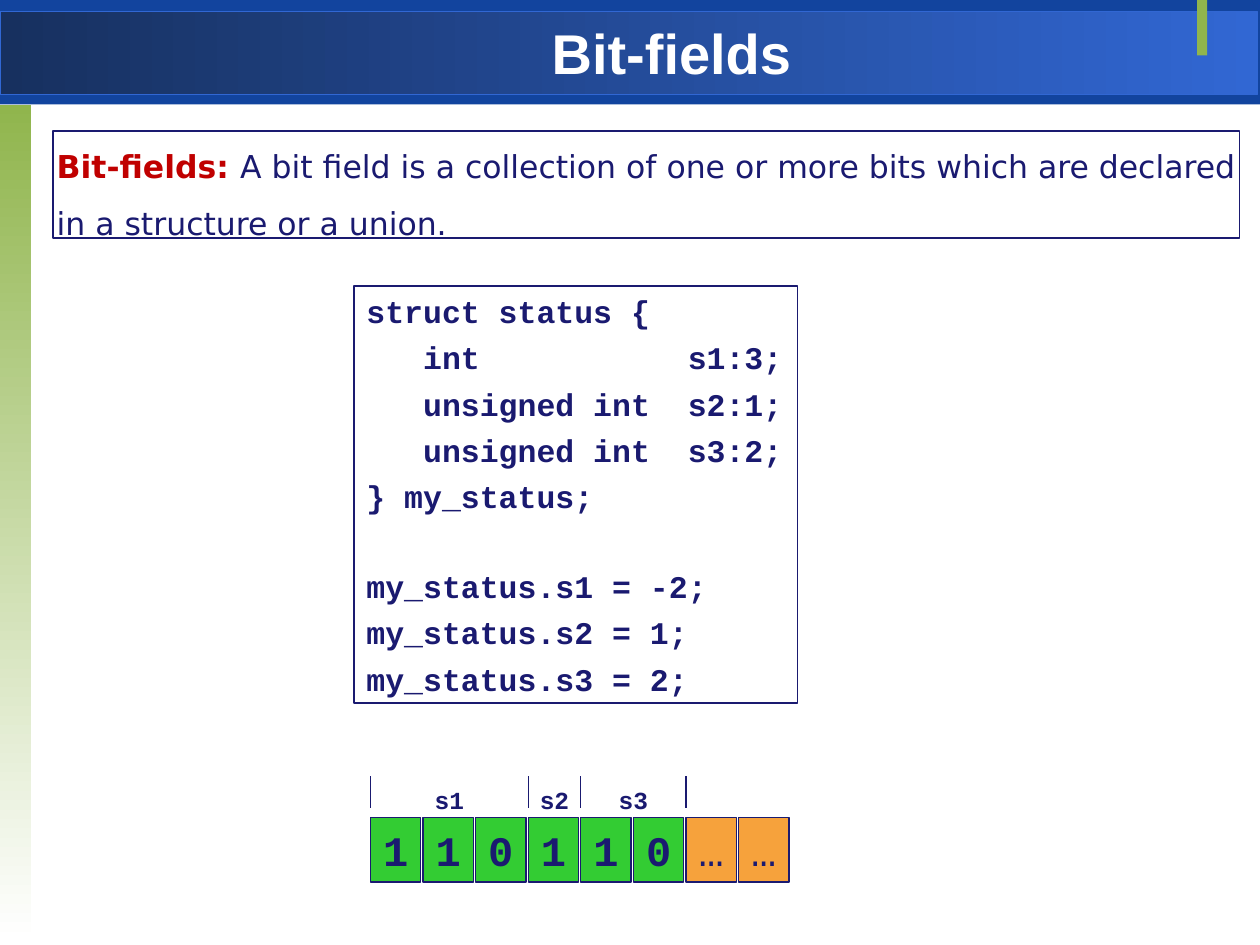
from lxml import etree
from pptx import Presentation
from pptx import util as u
from pptx.dml.color import RGBColor
from pptx.enum import shapes, text
from pptx.oxml.ns import qn

NAVY = "1A1A70"
MONO = "Courier New"
CODE = [
    "struct status {",
    "   int           s1:3;",
    "   unsigned int  s2:1;",
    "   unsigned int  s3:2;",
    "} my_status;",
    "my_status.s1 = -2;",
    "my_status.s2 = 1;",
    "my_status.s3 = 2;",
]
BITS = "110110……"
FIELDS = [("s1", 0, 3), ("s2", 3, 1), ("s3", 4, 2)]


def rgb(color):
    return RGBColor.from_string(color)


def box(x, y, w, h):
    return tuple(u.Inches(v) for v in (x, y, w, h))


def style(r, size, font, color, bold=True):
    r.font.size = u.Pt(size)
    r.font.name = font
    r.font.bold = bold
    r.font.color.rgb = rgb(color)


def frame(sp, anchor, margins, wrap=True):
    tf = sp.text_frame
    tf.word_wrap = wrap
    tf.auto_size = text.MSO_AUTO_SIZE.NONE
    tf.vertical_anchor = anchor
    tf.margin_left = tf.margin_right = u.Inches(margins[0])
    tf.margin_top = tf.margin_bottom = u.Inches(margins[1])
    return tf


def rect(s, area, fill=None, line=None, angle=0):
    sp = s.shapes.add_shape(shapes.MSO_SHAPE.RECTANGLE, *area)
    sp.shadow.inherit = False
    if fill is None:
        sp.fill.background()
    elif isinstance(fill, str):
        sp.fill.solid()
        sp.fill.fore_color.rgb = rgb(fill)
    else:
        sp.fill.gradient()
        sp.fill.gradient_angle = angle
        for stop, color in zip(sp.fill.gradient_stops, fill):
            stop.color.rgb = rgb(color)
    if line:
        sp.line.color.rgb = rgb(line)
        sp.line.width = u.Pt(0.75)
    else:
        sp.line.fill.background()
    return sp


def add_backdrop(s):
    rect(s, box(0, 0, 10, 0.83), "12449E")
    rect(s, box(0, 0.09, 9.98, 0.66), ("17305F", "3167D3"), "3167D3")
    rect(s, box(0, 0.83, 0.25, 6.64), ("90B54D", "FFFFFF"), angle=270)
    rect(s, box(9.5, 0, 0.08, 0.44), "90B54D")


def add_title(s, area):
    sp = s.shapes.title
    sp.left, sp.top, sp.width, sp.height = area
    sp.element.getparent().append(sp.element)
    tf = frame(sp, text.MSO_ANCHOR.MIDDLE, (0.1, 0))
    tf.text = "Bit-fields"
    p = tf.paragraphs[0]
    p.alignment = text.PP_ALIGN.CENTER
    style(p.runs[0], 32, "Arial", "FFFFFF")


def add_definition(s, area):
    tf = frame(rect(s, area, line=NAVY), text.MSO_ANCHOR.MIDDLE, (0.03, 0))
    p = tf.paragraphs[0]
    p.alignment = text.PP_ALIGN.JUSTIFY
    p.line_spacing = 1.5
    r = p.add_run()
    r.text = "Bit-fields: "
    style(r, 18, "DejaVu Sans", "C00000")
    r = p.add_run()
    r.text = ("A bit field is a collection of one or more bits "
              "which are declared in a structure or a union.")
    style(r, 18, "DejaVu Sans", NAVY, False)


def add_code(s, area):
    tf = frame(rect(s, area, line=NAVY), text.MSO_ANCHOR.TOP, (0.1, 0.05))
    tf.text = "\n".join(CODE)
    for p in tf.paragraphs:
        p.alignment = text.PP_ALIGN.LEFT
        p.space_before = u.Pt(30 if p.text.startswith("my_status.s1") else 4.8)
        style(p.runs[0], 18, MONO, NAVY)


def add_tick(s, x, top, bottom):
    c = s.shapes.add_connector(shapes.MSO_CONNECTOR.STRAIGHT, x, top, x, bottom)
    c.line.color.rgb = rgb(NAVY)
    c.line.width = u.Pt(0.75)
    etree.SubElement(c.element.spPr, qn("a:effectLst"))


def add_centred(sp, label, size, bold=True):
    tf = frame(sp, text.MSO_ANCHOR.MIDDLE, (0, 0), wrap=False)
    tf.text = label
    p = tf.paragraphs[0]
    p.alignment = text.PP_ALIGN.CENTER
    style(p.runs[0], size, MONO, NAVY, bold)


def add_bits(s, area):
    left, top, width, height = area
    pitch = width // len(BITS)
    cell_h = u.Inches(0.51)
    cell_top = top + height - cell_h
    for i, bit in enumerate(BITS):
        used = bit != "…"
        cell = rect(s, (left + i * pitch, cell_top, u.Inches(0.4), cell_h),
                    "33CC33" if used else "F6A23C", NAVY)
        add_centred(cell, bit, 24, used)
    ticks = [start for _, start, _ in FIELDS] + [BITS.index("…")]
    for i in ticks:
        add_tick(s, left + i * pitch, top, top + u.Inches(0.25))
    for name, start, count in FIELDS:
        label = s.shapes.add_textbox(left + start * pitch, top + u.Inches(0.02),
                                     count * pitch, u.Inches(0.33))
        add_centred(label, name, 14)


def main():
    prs = Presentation()
    prs.slide_width, prs.slide_height = u.Inches(10), u.Inches(7.5)
    s = prs.slides.add_slide(prs.slide_layouts[5])
    add_backdrop(s)
    add_title(s, box(1.58, 0.08, 7.5, 0.66))
    add_bits(s, box(2.94, 6.16, 3.34, 0.84))
    add_code(s, box(2.81, 2.27, 3.52, 3.31))
    add_definition(s, box(0.42, 1.04, 9.42, 0.85))
    prs.save("out.pptx")


if __name__ == "__main__":
    main()
